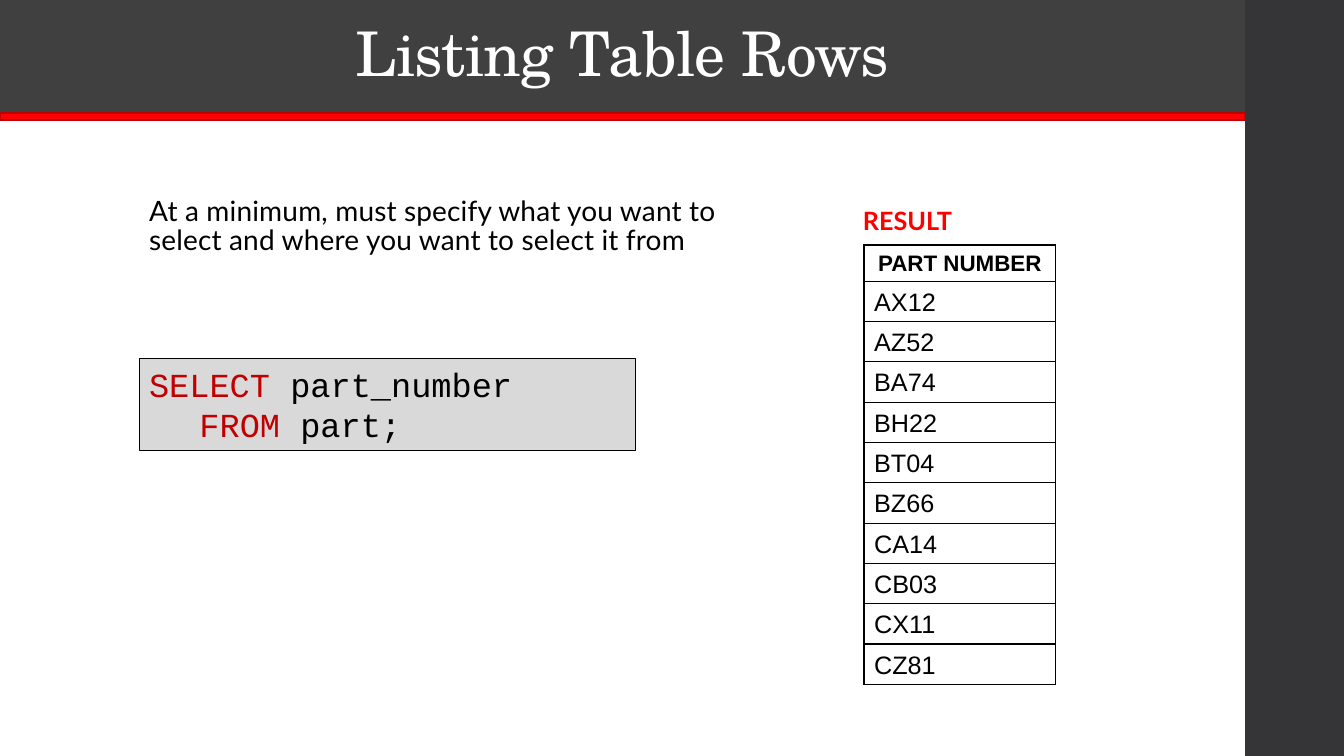
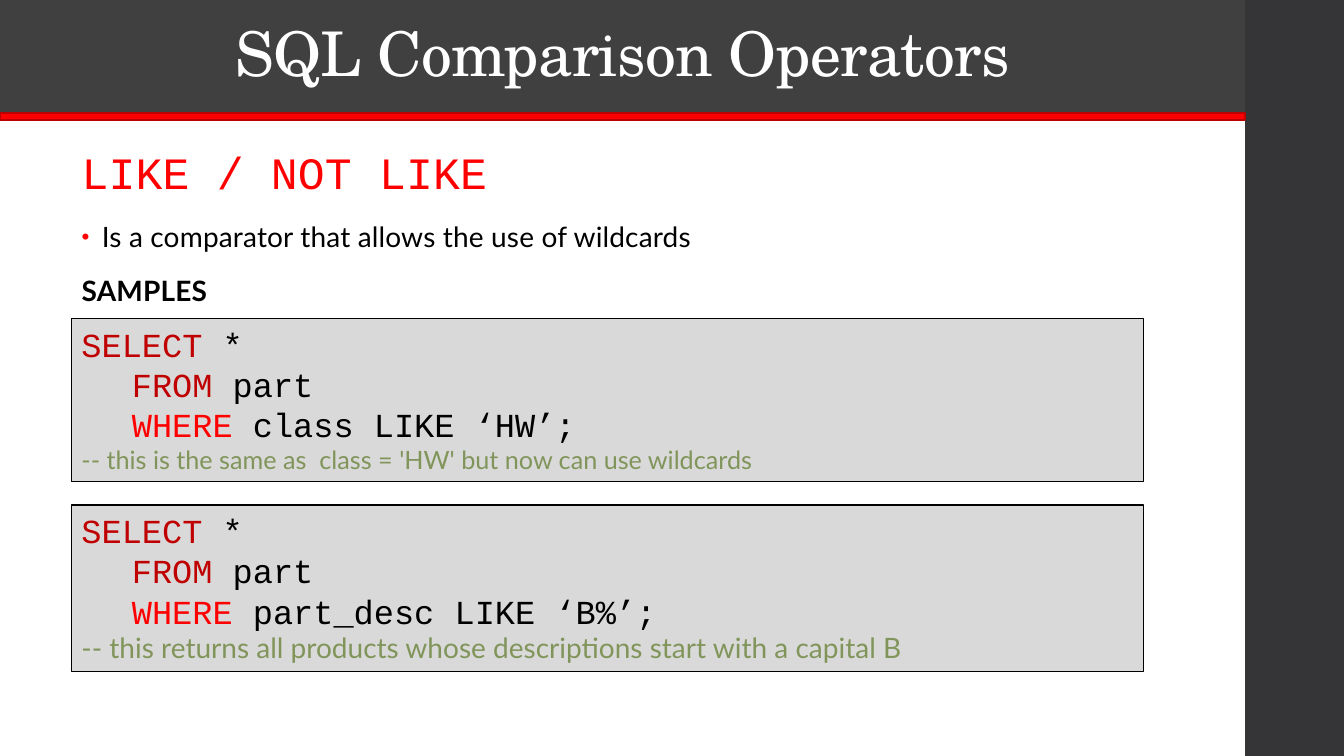
from lxml.etree import SubElement
from pptx import Presentation
from pptx.dml.color import RGBColor
from pptx.enum.shapes import MSO_SHAPE as Shape
from pptx.enum.text import MSO_ANCHOR as Anchor, MSO_AUTO_SIZE as AutoSize, PP_ALIGN as Align
from pptx.oxml import parse_xml
from pptx.oxml.ns import nsdecls, qn
from pptx.util import Pt

PX = 9144  # EMU; 100 px to the inch
WIDTH, HEIGHT = 1333, 750
CONTENT_WIDTH, TITLE_HEIGHT = 1235, 112

TITLE_FONT, BODY_FONT, CODE_FONT, TABLE_FONT = (
    "TeX Gyre Schola", "Lato", "Courier New", "Arial")
WHITE, BLACK, RED, DARK_RED, RULE_EDGE = "FFFFFF", "000000", "FF0000", "C00000", "BD0000"
TITLE_BAND, SIDE_BAND, CODE_FILL, COMMENT = "404040", "353537", "D9D9D9", "81955B"


def rgb(value):
    return RGBColor.from_string(value)


def px(*lengths):
    return [length * PX for length in lengths]


def paint(shape, fill, line=None, weight=0.75):
    shape.fill.solid()
    shape.fill.fore_color.rgb = rgb(fill)
    if line:
        shape.line.color.rgb = rgb(line)
        shape.line.width = Pt(weight)
    else:
        shape.line.fill.background()


def style(paragraph, name, size, color=None, bold=False, tracking=0):
    """Set the paragraph font; tracking is in hundredths of a point."""
    font = paragraph.font
    font.name, font.size, font.bold = name, Pt(size), bold
    if color:
        font.color.rgb = rgb(color)
    if tracking:
        font._rPr.set("spc", str(tracking))


def set_bullet(paragraph, bulleted):
    props = paragraph._p.get_or_add_pPr()
    hang = 20 * PX if bulleted else 0
    props.set("marL", str(hang))
    props.set("indent", str(-hang))
    if bulleted:
        SubElement(SubElement(props, qn("a:buClr")), qn("a:srgbClr"), val=RED)
        SubElement(props, qn("a:buSzPct"), val="80000")
        SubElement(props, qn("a:buFont"), typeface="Arial")
        SubElement(props, qn("a:buChar"), char="•")
    else:
        SubElement(props, qn("a:buNone"))


def set_tab(paragraph, position):
    tabs = SubElement(paragraph._p.get_or_add_pPr(), qn("a:tabLst"))
    SubElement(tabs, qn("a:tab"), pos=str(position * PX), algn="l")


def set_borders(cell, color=BLACK, weight=1):
    props = cell._tc.get_or_add_tcPr()
    for index, side in enumerate(("lnL", "lnR", "lnT", "lnB")):
        props.insert(index, parse_xml(
            f'<a:{side} {nsdecls("a")} w="{Pt(weight)}"><a:solidFill>'
            f'<a:srgbClr val="{color}"/></a:solidFill></a:{side}>'))


def paragraphs(frame, items):
    """Yield each item with its paragraph, adding paragraphs after the first."""
    for index, item in enumerate(items):
        yield item, frame.add_paragraph() if index else frame.paragraphs[0]


class Deck:
    def __init__(self):
        self.file = Presentation()
        self.file.slide_width, self.file.slide_height = px(WIDTH, HEIGHT)
        self.slide = None

    def start_slide(self, title):
        self.slide = self.file.slides.add_slide(self.file.slide_layouts[1])
        self.rectangle(CONTENT_WIDTH, 0, WIDTH - CONTENT_WIDTH, HEIGHT, SIDE_BAND)
        self.rectangle(0, TITLE_HEIGHT, CONTENT_WIDTH, 7, RED, RULE_EDGE, 1.1)
        heading = self.place(self.slide.shapes.title, 0, 0, CONTENT_WIDTH, TITLE_HEIGHT)
        paint(heading, TITLE_BAND)
        frame = heading.text_frame
        frame.text = title
        frame.vertical_anchor = Anchor.MIDDLE
        paragraph = frame.paragraphs[0]
        paragraph.alignment, paragraph.line_spacing = Align.CENTER, 0.9
        style(paragraph, TITLE_FONT, 44, WHITE, tracking=-50)

    def place(self, placeholder, *box):
        (placeholder.left, placeholder.top,
         placeholder.width, placeholder.height) = px(*box)
        placeholder.text_frame.auto_size = AutoSize.NONE
        return placeholder

    def rectangle(self, left, top, width, height, fill, line=None, weight=0.75):
        shape = self.slide.shapes.add_shape(Shape.RECTANGLE, *px(left, top, width, height))
        shape.shadow.inherit = False
        paint(shape, fill, line, weight)
        return shape

    def body(self, left, top, width, height, items, spacing):
        """Fill the body with (text, bulleted, font, size, colour, bold) items."""
        body = self.place(self.slide.placeholders[1], left, top, width, height)
        for (text, bulleted, *look), paragraph in paragraphs(body.text_frame, items):
            paragraph.text = text
            paragraph.line_spacing = spacing
            paragraph.space_before = Pt(14 if text != items[0][0] else 0)
            paragraph.space_after = Pt(2)
            set_bullet(paragraph, bulleted)
            style(paragraph, *look, tracking=10)

    def code(self, left, top, width, height, lines, comment=None, comment_size=18):
        """Draw a code box from (keyword, rest, keyword colour) lines."""
        box = self.rectangle(left, top, width, height, CODE_FILL, BLACK)
        frame = box.text_frame
        frame.word_wrap, frame.vertical_anchor = True, Anchor.TOP
        for (keyword, rest, color), paragraph in paragraphs(frame, lines):
            paragraph.alignment = Align.LEFT
            set_tab(paragraph, 50)
            style(paragraph, CODE_FONT, 24)
            for text, ink in ((keyword, color), (rest, BLACK)):
                run = paragraph.add_run()
                run.text = text
                run.font.color.rgb = rgb(ink)
        if comment:
            paragraph = frame.add_paragraph()
            paragraph.text, paragraph.alignment = comment, Align.LEFT
            style(paragraph, BODY_FONT, comment_size, COMMENT)

    def label(self, left, top, width, height, text):
        frame = self.slide.shapes.add_textbox(*px(left, top, width, height)).text_frame
        frame.word_wrap = True
        frame.text = text
        style(frame.paragraphs[0], BODY_FONT, 18, RED, bold=True)

    def result_column(self, left, top, width, header, values):
        header_height, row_height = 36, 40
        height = header_height + row_height * len(values)
        table = self.slide.shapes.add_table(
            len(values) + 1, 1, *px(left, top, width, height)).table
        table.first_row = table.horz_banding = False
        for index, text in enumerate([header, *values]):
            is_header = index == 0
            table.rows[index].height = (header_height if is_header else row_height) * PX
            cell = table.cell(index, 0)
            cell.text = text
            cell.vertical_anchor = Anchor.BOTTOM
            cell.fill.background()
            set_borders(cell)
            paragraph = cell.text_frame.paragraphs[0]
            paragraph.alignment = Align.CENTER if is_header else Align.LEFT
            style(paragraph, TABLE_FONT, 16 if is_header else 18, BLACK, is_header)


def listing_rows(deck):
    deck.start_slide("Listing Table Rows")
    deck.body(138, 192, 632, 96, [
        ("At a minimum, must specify what you want to select and where you want "
         "to select it from", False, BODY_FONT, 20, BLACK, False)], 0.85)
    deck.code(138, 356, 492, 91, [("SELECT ", "part_number", DARK_RED),
                                  ("\tFROM", " part;", DARK_RED)])
    deck.result_column(857, 243, 190, "PART NUMBER", [
        "AX12", "AZ52", "BA74", "BH22", "BT04", "BZ66", "CA14", "CB03", "CX11", "CZ81"])
    deck.label(846, 199, 201, 40, "RESULT")


def comparison_operators(deck):
    deck.start_slide("SQL Comparison Operators")
    deck.body(71, 142, 940, 172, [
        ("LIKE / NOT LIKE", False, CODE_FONT, 32, RED, False),
        ("Is a comparator that allows the use of wildcards", True,
         BODY_FONT, 20, BLACK, False),
        ("SAMPLES", False, BODY_FONT, 20, BLACK, True)], 0.95)
    samples = [
        (316, 162, "class LIKE ‘HW’;",
         "-- this is the same as  class = 'HW' but now can use wildcards", 18),
        (501, 165, "part_desc LIKE ‘B%’;",
         "-- this returns all products whose descriptions start with a capital B", 20)]
    for top, height, condition, comment, comment_size in samples:
        deck.code(71, top, 1063, height, [
            ("SELECT", " *", DARK_RED),
            ("\tFROM", " part", DARK_RED),
            ("\tWHERE ", condition, RED)], comment, comment_size)


def main():
    deck = Deck()
    listing_rows(deck)
    comparison_operators(deck)
    deck.file.save("out.pptx")


if __name__ == "__main__":
    main()
